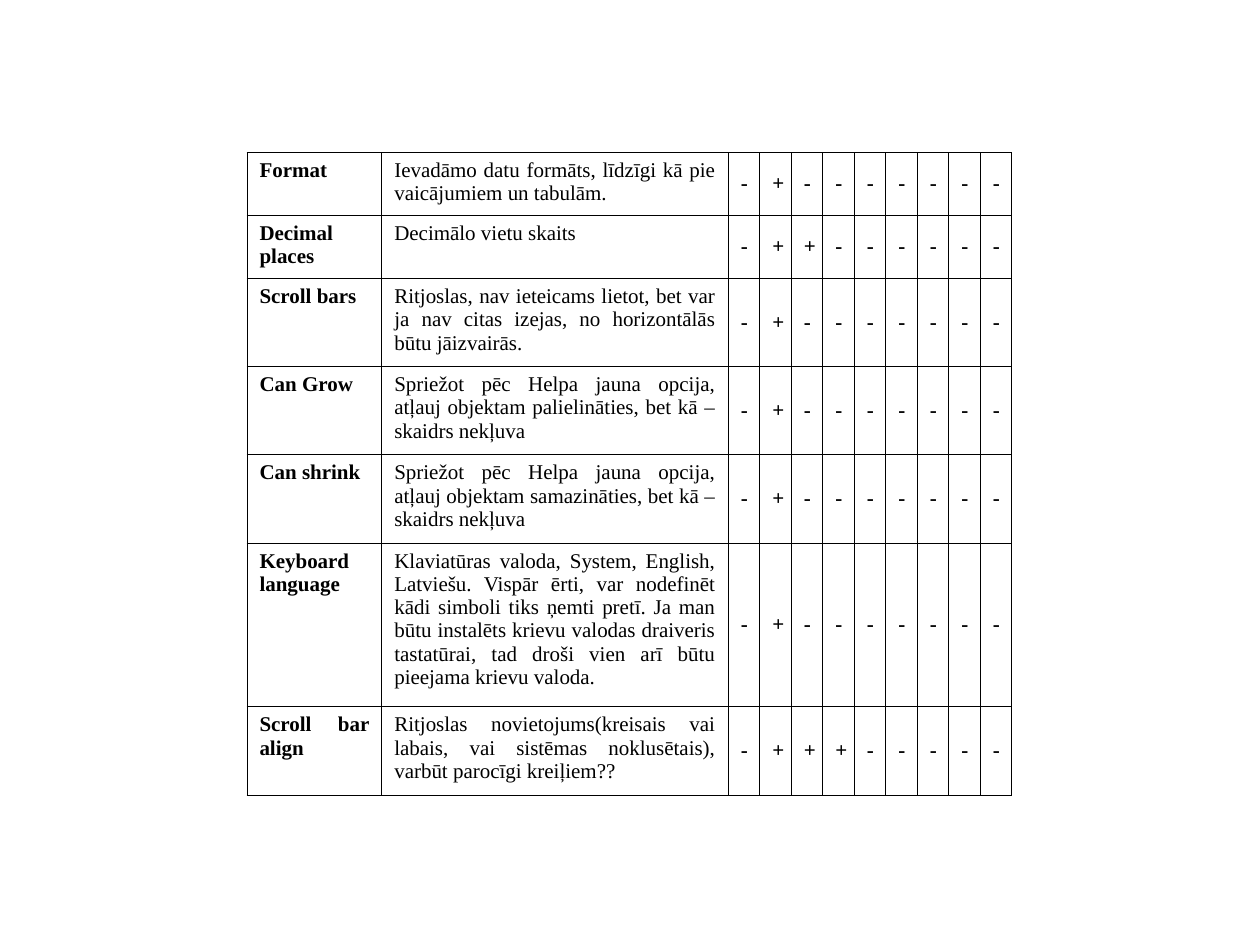
from dataclasses import dataclass

from lxml import etree
from pptx import Presentation
from pptx import util as u
from pptx.dml import color
from pptx.enum import text
from pptx.oxml import ns


@dataclass(frozen=True)
class Theme:
    font: str = "Times New Roman"
    size: float = 12
    ink: str = "000000"
    rule: float = 0.45


@dataclass(frozen=True)
class Box:
    left: float
    top: float
    width: float
    height: float


THEME = Theme()
PAGE_WIDTH, PAGE_HEIGHT = u.Inches(10), u.Inches(7.5)
GRID_COLUMN, GRID_ROW = PAGE_WIDTH / 40, PAGE_HEIGHT / 75
COLUMN_SPANS = [4.28, 11] + [1] * 9
TAB_STOPS = range(8)

PROPERTIES = [
    ("Format", "Ievadāmo datu formāts, līdzīgi kā pie vaicājumiem un tabulām.",
     "-+-------", 5),
    ("Decimal places", "Decimālo vietu skaits", "-++------", 5),
    ("Scroll bars",
     "Ritjoslas, nav ieteicams lietot, bet var ja nav citas izejas, "
     "no horizontālās būtu jāizvairās.", "-+-------", 7),
    ("Can Grow",
     "Spriežot pēc Helpa jauna opcija, atļauj objektam palielināties, "
     "bet kā – skaidrs nekļuva", "-+-------", 7),
    ("Can shrink",
     "Spriežot pēc Helpa jauna opcija, atļauj objektam samazināties, "
     "bet kā – skaidrs nekļuva", "-+-------", 7),
    ("Keyboard language",
     "Klaviatūras valoda, System, English, Latviešu. Vispār ērti, var "
     "nodefinēt kādi simboli tiks ņemti pretī. Ja man būtu instalēts krievu "
     "valodas draiveris tastatūrai, tad droši vien arī būtu pieejama krievu "
     "valoda.", "-+-------", 13),
    ("Scroll bar align",
     "Ritjoslas novietojums(kreisais vai labais, vai sistēmas noklusētais), "
     "varbūt parocīgi kreiļiem??", "-+++-----", 7),
]


def across(columns):
    return u.Emu(round(columns * GRID_COLUMN))


def down(rows):
    return u.Emu(round(rows * GRID_ROW))


def add_borders(cell):
    properties = cell._tc.get_or_add_tcPr()
    for side in ("a:lnL", "a:lnR", "a:lnT", "a:lnB"):
        line = etree.SubElement(properties, ns.qn(side), w=str(u.Pt(THEME.rule)))
        fill = etree.SubElement(line, ns.qn("a:solidFill"))
        etree.SubElement(fill, ns.qn("a:srgbClr"), val=THEME.ink)


def add_tab_stops(para):
    stops = etree.SubElement(para._p.get_or_add_pPr(), ns.qn("a:tabLst"))
    for inch in TAB_STOPS:
        etree.SubElement(stops, ns.qn("a:tab"), pos=str(u.Inches(inch)), algn="l")


def fill_cell(cell, words, bold, alignment, anchor):
    add_borders(cell)
    cell.fill.background()
    cell.margin_left = cell.margin_right = u.Inches(0.1)
    cell.margin_top = cell.margin_bottom = u.Inches(0.05)
    cell.vertical_anchor = anchor
    cell.text_frame.text = words
    para = cell.text_frame.paragraphs[0]
    para.alignment = alignment
    add_tab_stops(para)
    font = para.runs[0].font
    font.name, font.size, font.bold = THEME.font, u.Pt(THEME.size), bold
    font.color.rgb = color.RGBColor.from_string(THEME.ink)


def add_property_table(page, box):
    frame = page.shapes.add_table(
        len(PROPERTIES), len(COLUMN_SPANS),
        across(box.left), down(box.top), across(box.width), down(box.height))
    table = frame.table
    table.first_row = table.horz_banding = False

    column_unit = box.width / sum(COLUMN_SPANS)
    for column, span in zip(table.columns, COLUMN_SPANS):
        column.width = across(span * column_unit)

    row_unit = box.height / sum(entry[-1] for entry in PROPERTIES)
    for row, (name, description, marks, span) in zip(table.rows, PROPERTIES):
        row.height = down(span * row_unit)
        for index, (cell, words) in enumerate(zip(row.cells, [name, description, *marks])):
            is_mark = index > 1
            fill_cell(
                cell, words, index != 1,
                text.PP_ALIGN.CENTER if is_mark else text.PP_ALIGN.JUSTIFY,
                text.MSO_ANCHOR.MIDDLE if is_mark else text.MSO_ANCHOR.TOP)


def main():
    deck = Presentation()
    deck.slide_width, deck.slide_height = PAGE_WIDTH, PAGE_HEIGHT
    page = deck.slides.add_slide(deck.slide_layouts[6])
    add_property_table(page, Box(7.84, 12.1, 24.28, 51))
    deck.save("out.pptx")


if __name__ == "__main__":
    main()
